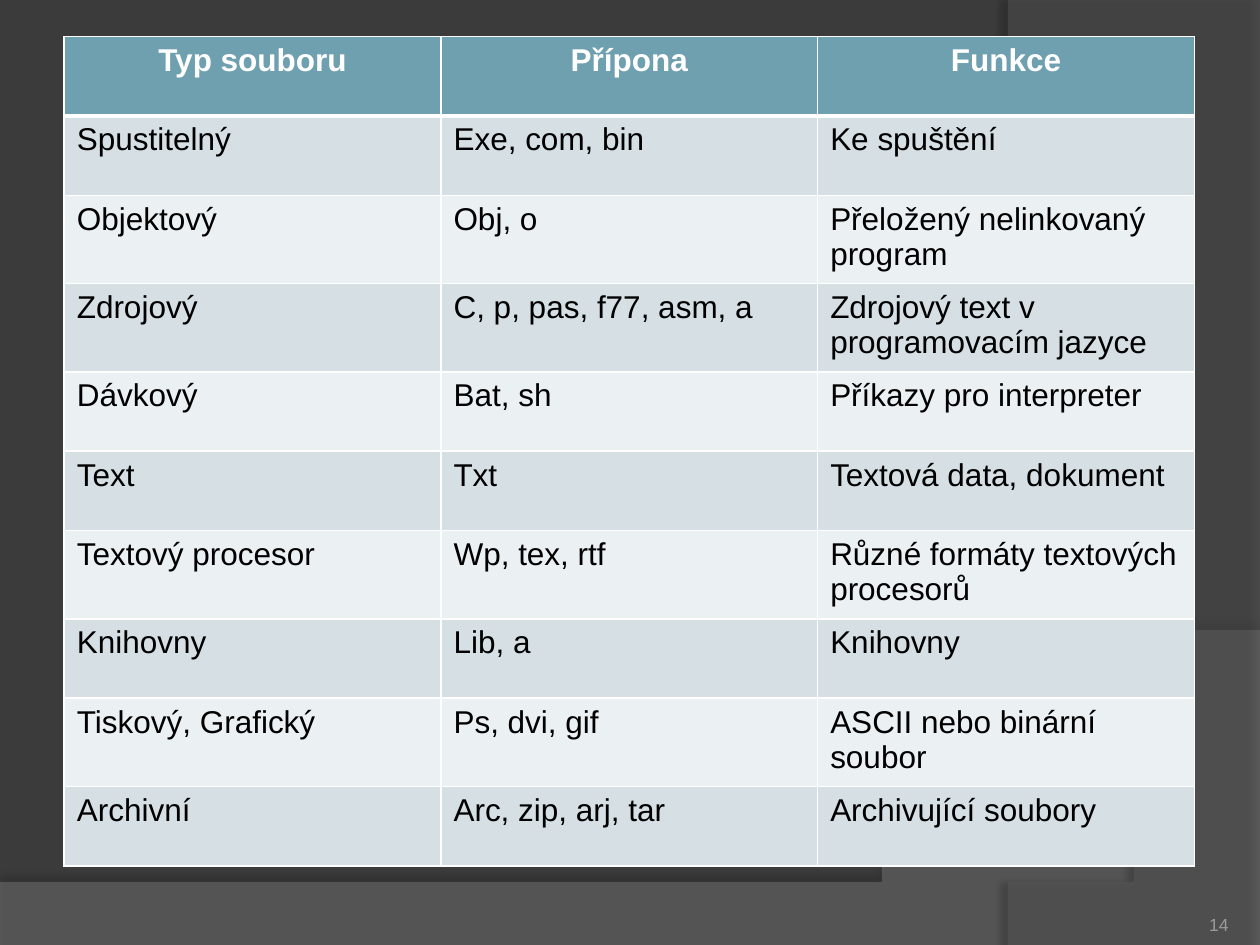
from pptx import Presentation, util as u
from pptx.dml.color import RGBColor
from pptx.enum import text
from pptx.oxml import parse_xml
from pptx.oxml.ns import nsdecls, qn

WIDTH, HEIGHT = 10, 7.5
BACKGROUND = RGBColor(0x3B, 0x3B, 0x3B)
WAVE = RGBColor(0x7F, 0x7F, 0x7F)
ARC = RGBColor(0x5E, 0x5E, 0x5E)
HEADER = RGBColor(0x6E, 0xA0, 0xB0)
BANDS = [RGBColor(0xEB, 0xF0, 0xF2), RGBColor(0xD5, 0xDF, 0xE4)]
WHITE = RGBColor(0xFF, 0xFF, 0xFF)
BLACK = RGBColor(0, 0, 0)
GREY = RGBColor(0x9D, 0x9B, 0x9A)

FILE_TYPES = [
    ("Typ souboru", "Přípona", "Funkce"),
    ("Spustitelný", "Exe, com, bin", "Ke spuštění"),
    ("Objektový", "Obj, o", "Přeložený nelinkovaný program"),
    ("Zdrojový", "C, p, pas, f77, asm, a", "Zdrojový text v programovacím jazyce"),
    ("Dávkový", "Bat, sh", "Příkazy pro interpreter"),
    ("Text", "Txt", "Textová data, dokument"),
    ("Textový procesor", "Wp, tex, rtf", "Různé formáty textových procesorů"),
    ("Knihovny", "Lib, a", "Knihovny"),
    ("Tiskový, Grafický", "Ps, dvi, gif", "ASCII nebo binární soubor"),
    ("Archivní", "Arc, zip, arj, tar", "Archivující soubory"),
]


def write(frame, content, size=18, color=BLACK, bold=False, align=text.PP_ALIGN.LEFT):
    para = frame.paragraphs[0]
    para.alignment = align
    span = para.add_run()
    span.text = content
    span.font.name = "Arial"
    span.font.size = u.Pt(size)
    span.font.bold = bold
    span.font.color.rgb = color


def curve(*controls, steps=40):
    """Return points along the cubic Bezier curve with four control points."""
    points = []
    for step in range(steps + 1):
        t = step / steps
        weights = ((1 - t) ** 3, 3 * t * (1 - t) ** 2, 3 * t ** 2 * (1 - t), t ** 3)
        points.append(tuple(sum(w * c[axis] for w, c in zip(weights, controls))
                            for axis in (0, 1)))
    return points


deck = Presentation()
deck.slide_width, deck.slide_height = u.Inches(WIDTH), u.Inches(HEIGHT)
page = deck.slides.add_slide(deck.slide_layouts[6])
page.background.fill.solid()
page.background.fill.fore_color.rgb = BACKGROUND

# Background swooshes: outline, colour, opacity %, shadow opacity %, distance, direction
wave = [(0, HEIGHT), (WIDTH, HEIGHT)] + curve((10, 5.2), (5.59, 7.29), (3.91, 7.19), (0, 7.05))
arc = [(WIDTH, 0.02), (WIDTH, HEIGHT)] + curve((8.21, 7.5), (9.35, 6.19), (10.18, 3), (8, 0))
for outline, color, opacity, shade, distance, direction in [
    (wave, WAVE, 45, 35, 3.5, 270),
    (arc, ARC, 40, 45, 4, 180),
]:
    builder = page.shapes.build_freeform(*outline[0], scale=u.Inches(1))
    builder.add_line_segments(outline[1:], close=True)
    swoosh = builder.convert_to_shape()
    swoosh.fill.solid()
    swoosh.fill.fore_color.rgb = color
    swoosh.line.fill.background()
    swoosh.shadow.inherit = False
    properties = swoosh._element.spPr
    properties.find(qn("a:solidFill"))[0].append(
        parse_xml(f'<a:alpha {nsdecls("a")} val="{opacity * 1000}"/>'))
    properties.find(qn("a:effectLst")).append(parse_xml(
        f'<a:outerShdw {nsdecls("a")} blurRad="{u.Pt(4)}" dist="{u.Pt(distance)}" '
        f'dir="{direction * 60000}" algn="ctr" rotWithShape="0"><a:srgbClr val="000000">'
        f'<a:alpha val="{shade * 1000}"/></a:srgbClr></a:outerShdw>'))

# Page number
box = page.shapes.add_textbox(u.Inches(8.92), u.Inches(7.02), u.Inches(0.83), u.Inches(0.4))
frame = box.text_frame
frame.word_wrap = True
frame.vertical_anchor = text.MSO_ANCHOR.BOTTOM
frame.margin_left = frame.margin_right = frame.margin_top = frame.margin_bottom = 0
write(frame, "14", size=10, color=GREY, align=text.PP_ALIGN.RIGHT)

# Table of file types
ROW_HEIGHT, COLUMN_WIDTH = 0.63, 2.99
rows, columns = len(FILE_TYPES), len(FILE_TYPES[0])
table = page.shapes.add_table(
    rows, columns, u.Inches(0.51), u.Inches(0.29),
    u.Inches(columns * COLUMN_WIDTH), u.Inches(rows * ROW_HEIGHT)).table
for r, record in enumerate(FILE_TYPES):
    for c, content in enumerate(record):
        cell = table.cell(r, c)
        borders = {"L": 1, "R": 1, "T": 3 if r == 1 else 1, "B": 3 if r == 0 else 1}
        for side, points in borders.items():
            cell._tc.get_or_add_tcPr().append(parse_xml(
                f'<a:ln{side} {nsdecls("a")} w="{u.Pt(points)}"><a:solidFill>'
                f'<a:srgbClr val="{WHITE}"/></a:solidFill></a:ln{side}>'))
        cell.fill.solid()
        cell.fill.fore_color.rgb = BANDS[r % 2] if r else HEADER
        if r == 0:
            write(cell.text_frame, content, color=WHITE, bold=True, align=text.PP_ALIGN.CENTER)
        else:
            write(cell.text_frame, content)

deck.save("out.pptx")
